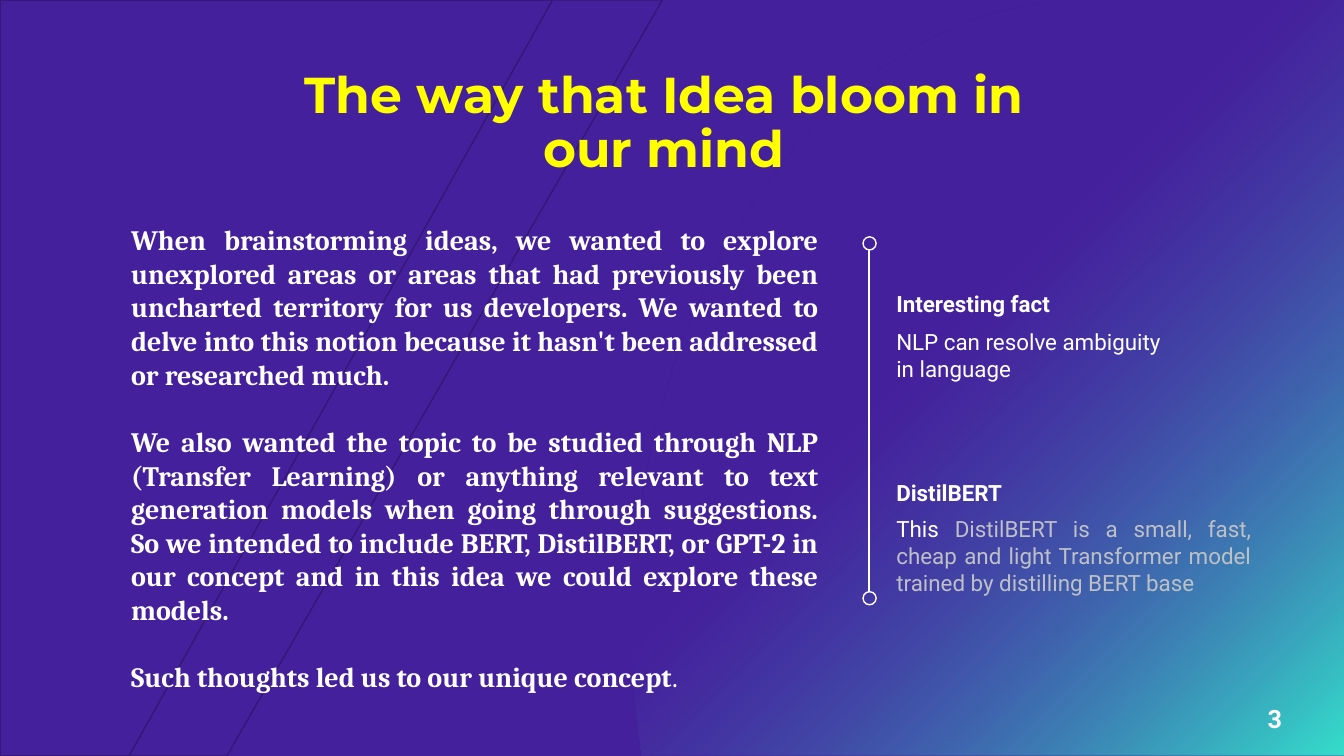
from dataclasses import dataclass

from lxml import etree
from pptx import Presentation
from pptx.dml.color import RGBColor
from pptx.enum import shapes, text
from pptx.oxml import ns
from pptx.util import Inches, Pt

ALIGN = text.PP_ALIGN


@dataclass(frozen=True)
class Theme:
    base: str = "45209D"
    edge: str = "331874"
    teal: str = "34DFCB"
    white: str = "FFFFFF"
    grey: str = "BDC1C6"
    yellow: str = "FFFF00"
    head: str = "Montserrat"
    serif: str = "Cambria"
    sans: str = "Roboto"
    title: int = 36
    body: int = 20
    page: int = 18
    note: int = 16


def add(parent, tag, **attrs):
    return etree.SubElement(parent, ns.qn(tag), **attrs)


def bezier(a, b, c, d, steps=24):
    """Points along a cubic curve, without its start."""
    for i in range(1, steps + 1):
        t = i / steps
        s = 1 - t
        yield tuple(s**3 * p + 3 * s * s * t * q + 3 * s * t * t * r + t**3 * e
                    for p, q, r, e in zip(a, b, c, d))


class Deck:
    def __init__(self, theme):
        self.theme = theme
        self.prs = Presentation()
        self.prs.slide_width, self.prs.slide_height = Inches(13.33), Inches(7.5)
        self.slide = self.prs.slides.add_slide(self.prs.slide_layouts[1])
        self.items = self.slide.shapes
        fill = self.slide.background.fill
        fill.solid()
        fill.fore_color.rgb = RGBColor.from_string(theme.base)

    def font(self, run, size, color, name, bold=False):
        font = run.font
        font.size, font.name, font.bold = Pt(size), name, bold
        font.color.rgb = RGBColor.from_string(color)

    def stroke(self, shape):
        shape.line.color.rgb = RGBColor.from_string(self.theme.white)
        shape.line.width = Pt(1)

    def outline(self, points):
        pen = self.items.build_freeform(*map(Inches, points[0]), scale=1.0)
        pen.add_line_segments([tuple(map(Inches, p)) for p in points[1:]])
        shape = pen.convert_to_shape()
        shape.shadow.inherit = False
        return shape

    def band(self, top, foot):
        """Slanted panel from the left edge, seen by its thin border."""
        shape = self.outline([(0, 0), (top, 0), (foot, 7.5), (0, 7.5)])
        shape.fill.background()
        shape.line.color.rgb = RGBColor.from_string(self.theme.edge)
        shape.line.width = Pt(1)

    def glow(self, points):
        """Panel fading from the base colour to teal, down to the right."""
        shape = self.outline(points)
        shape.line.fill.background()
        shape.fill.gradient()
        grad = shape.element.spPr.find(ns.qn("a:gradFill"))
        for child in list(grad):
            grad.remove(child)
        stops = add(grad, "a:gsLst")
        for pos, color, alpha in ((44, self.theme.base, 40), (100, self.theme.teal, 100)):
            stop = add(stops, "a:gs", pos=str(pos * 1000))
            tint = add(stop, "a:srgbClr", val=color)
            add(tint, "a:alpha", val=str(alpha * 1000))
        add(grad, "a:lin", ang=str(45 * 60000), scaled="0")

    def line(self, x, top, foot):
        line = self.items.add_connector(shapes.MSO_CONNECTOR.STRAIGHT,
                                        Inches(x), Inches(top), Inches(x), Inches(foot))
        self.stroke(line)
        add(line.element.spPr, "a:effectLst")

    def ring(self, x, y, size):
        ring = self.items.add_shape(shapes.MSO_SHAPE.OVAL, Inches(x), Inches(y),
                                    Inches(size), Inches(size))
        ring.shadow.inherit = False
        ring.fill.background()
        self.stroke(ring)

    def place(self, holder, box):
        """Move a placeholder into its box, in front of all else."""
        holder.left, holder.top, holder.width, holder.height = map(Inches, box)
        holder.element.getparent().append(holder.element)
        frame = holder.text_frame
        frame.auto_size = text.MSO_AUTO_SIZE.NONE
        frame.word_wrap = True
        return frame

    def inset(self, frame):
        frame.margin_left = frame.margin_top = frame.margin_right = frame.margin_bottom = 0

    def title(self, words, box):
        frame = self.place(self.items.title, box)
        frame.text = words
        frame.vertical_anchor = text.MSO_ANCHOR.MIDDLE
        para = frame.paragraphs[0]
        para.alignment, para.line_spacing = ALIGN.CENTER, 0.9
        self.font(para.runs[0], self.theme.title, self.theme.yellow, self.theme.head, True)

    def body(self, paras, end, box):
        """Justified paragraphs, then a closing mark in regular weight."""
        frame = self.place(self.slide.placeholders[1], box)
        self.inset(frame)
        frame.text = "\n".join(paras)
        frame.paragraphs[-1].add_run().text = end
        for i, para in enumerate(frame.paragraphs):
            props = para._p.get_or_add_pPr()
            props.set("marL", "0")
            props.set("indent", "0")
            add(props, "a:buNone")
            para.alignment = ALIGN.JUSTIFY
            para.space_before = Pt(24 if i else 0)
            for j, run in enumerate(para.runs):
                self.font(run, self.theme.body, self.theme.white, self.theme.serif, j == 0)

    def label(self, parts, box, size, bold=False, align=ALIGN.LEFT, flush=True):
        """Text box of (words, colour) parts in one paragraph."""
        frame = self.items.add_textbox(*map(Inches, box)).text_frame
        frame.word_wrap = True
        if flush:
            self.inset(frame)
        para = frame.paragraphs[0]
        para.alignment = align
        for words, color in parts:
            run = para.add_run()
            run.text = words
            self.font(run, size, color, self.theme.sans, bold)


def main():
    theme = Theme()
    deck = Deck(theme)
    deck.band(6.57, 2.25)
    deck.glow([(13.33, 0), (13.33, 7.5), (6.36, 7.5), (6.32, 7.2),
               *bezier((6.32, 7.2), (6.29, 6.89), (6.27, 6.57), (6.27, 6.24)),
               *bezier((6.27, 6.24), (6.27, 2.8), (8.31, 0), (10.82, 0))])
    deck.label([("3", theme.white)], (12.26, 6.93, 0.77, 0.4), theme.page,
               True, ALIGN.CENTER, False)
    deck.band(5.48, 1.28)
    deck.title("The way that Idea bloom in our mind", (2.84, 0.76, 7.49, 0.95))

    deck.line(8.62, 2.48, 5.87)
    for y in (2.35, 5.87):
        deck.ring(8.56, y, 0.13)

    notes = (
        ("Interesting fact", 2.88, 3.26, 2.8, 0.54, ALIGN.LEFT,
         [("NLP can resolve ambiguity in language", theme.white)]),
        ("DistilBERT", 4.75, 5.11, 3.52, 1.08, ALIGN.JUSTIFY,
         [("This ", theme.white),
          ("DistilBERT is a small, fast, cheap and light Transformer "
           "model trained by distilling BERT base", theme.grey)]),
    )
    for head, top, y, wide, high, align, parts in notes:
        deck.label([(head, theme.white)], (8.89, top, 2.8, 0.27), theme.note, True)
        deck.label(parts, (8.89, y, wide, high), theme.note, align=align)

    deck.body([
        "When brainstorming ideas, we wanted to explore unexplored areas or areas that had "
        "previously been uncharted territory for us developers. We wanted to delve into this "
        "notion because it hasn't been addressed or researched much.",
        "We also wanted the topic to be studied through NLP (Transfer Learning) or anything "
        "relevant to text generation models when going through suggestions. So we intended to "
        "include BERT, DistilBERT, or GPT-2 in our concept and in this idea we could explore "
        "these models.",
        "Such thoughts led us to our unique concept",
    ], ".", (1.3, 2.21, 6.82, 4.38))
    deck.prs.save("out.pptx")


if __name__ == "__main__":
    main()
